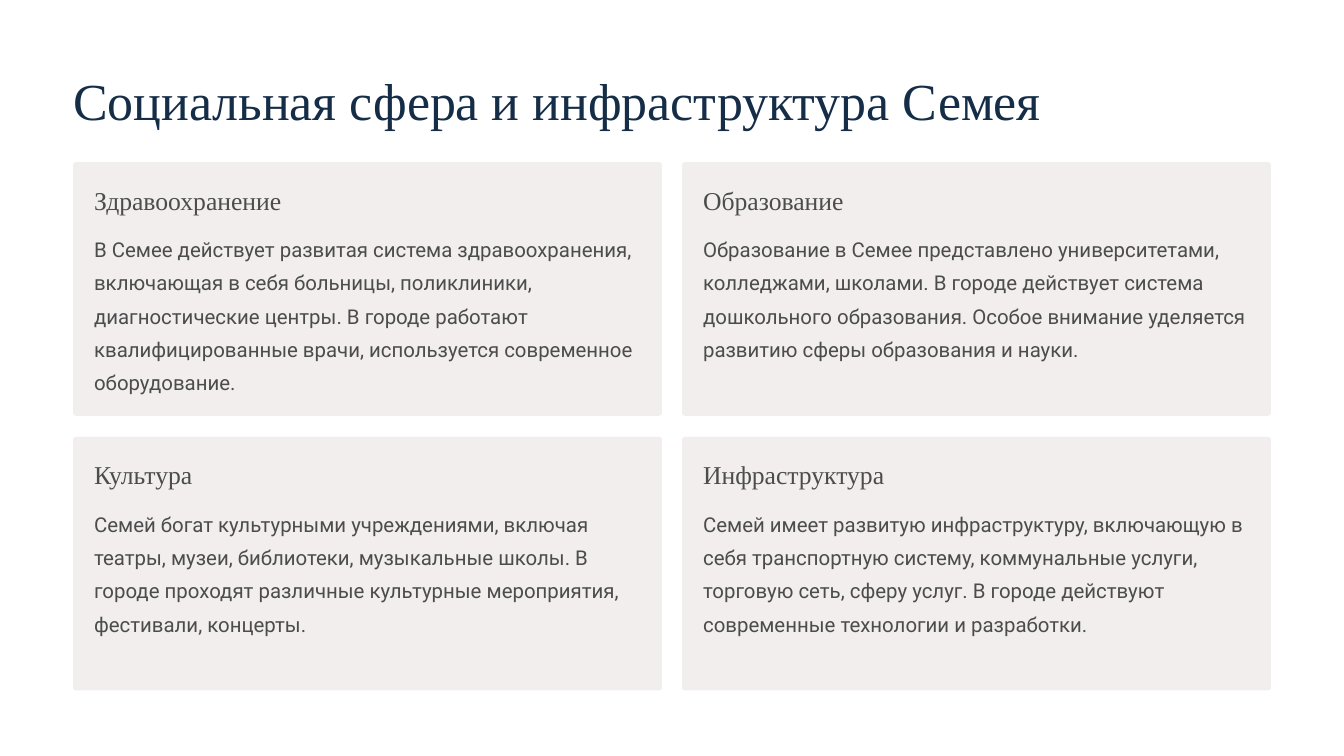
from pptx import Presentation
from pptx.dml.color import RGBColor
from pptx.enum import shapes
from pptx.util import Inches, Pt

NAVY = RGBColor(0x15, 0x2D, 0x47)
GREY = RGBColor(0x4C, 0x4C, 0x4D)
PALE = RGBColor(0xF2, 0xEE, 0xEE)

TITLE = {"name": "Times New Roman", "size": Pt(44.5)}
HEAD = {"name": "Times New Roman", "size": Pt(22)}
BODY = {"name": "Roboto", "size": Pt(17.5)}

LEFT, TOP = 0.87, 1.93
WIDTH, HEIGHT = 7.01, 3.02
GAP, PAD = 0.25, 0.25

CARDS = [
    ("Здравоохранение",
     "В Семее действует развитая система здравоохранения, включающая в себя "
     "больницы, поликлиники, диагностические центры. В городе работают "
     "квалифицированные врачи, используется современное оборудование."),
    ("Образование",
     "Образование в Семее представлено университетами, колледжами, школами. "
     "В городе действует система дошкольного образования. Особое внимание "
     "уделяется развитию сферы образования и науки."),
    ("Культура",
     "Семей богат культурными учреждениями, включая театры, музеи, библиотеки, "
     "музыкальные школы. В городе проходят различные культурные мероприятия, "
     "фестивали, концерты."),
    ("Инфраструктура",
     "Семей имеет развитую инфраструктуру, включающую в себя транспортную "
     "систему, коммунальные услуги, торговую сеть, сферу услуг. В городе "
     "действуют современные технологии и разработки."),
]


def add_text(slide, box, words, style, color, line):
    frame = slide.shapes.add_textbox(*map(Inches, box)).text_frame
    frame.word_wrap = True
    for side in ("left", "top", "right", "bottom"):
        setattr(frame, f"margin_{side}", 0)
    para = frame.paragraphs[0]
    para.line_spacing = Pt(line)
    run = para.add_run()
    run.text = words
    for key, value in style.items():
        setattr(run.font, key, value)
    run.font.color.rgb = color


def add_card(slide, box, head, body):
    x, y, w, h = box
    panel = slide.shapes.add_shape(
        shapes.MSO_SHAPE.ROUNDED_RECTANGLE, *map(Inches, box))
    panel.adjustments[0] = 0.012
    panel.shadow.inherit = False
    panel.fill.solid()
    panel.fill.fore_color.rgb = PALE
    panel.line.fill.background()
    inner = w - 2 * PAD
    add_text(slide, (x + PAD, y + PAD, inner, 0.39), head, HEAD, GREY, 27.5)
    add_text(slide, (x + PAD, y + 0.79, inner, h - 0.79 - PAD),
             body, BODY, GREY, 28.5)


def main():
    deck = Presentation()
    deck.slide_width, deck.slide_height = Inches(16), Inches(9)
    slide = deck.slides.add_slide(deck.slide_layouts[6])
    add_text(slide, (LEFT, 0.79, 13.14, 0.78),
             "Социальная сфера и инфраструктура Семея", TITLE, NAVY, 55.5)
    for i, (head, body) in enumerate(CARDS):
        row, col = divmod(i, 2)
        box = (LEFT + col * (WIDTH + GAP - 0.01),
               TOP + row * (HEIGHT + GAP), WIDTH, HEIGHT)
        add_card(slide, box, head, body)
    deck.save("out.pptx")


if __name__ == "__main__":
    main()
